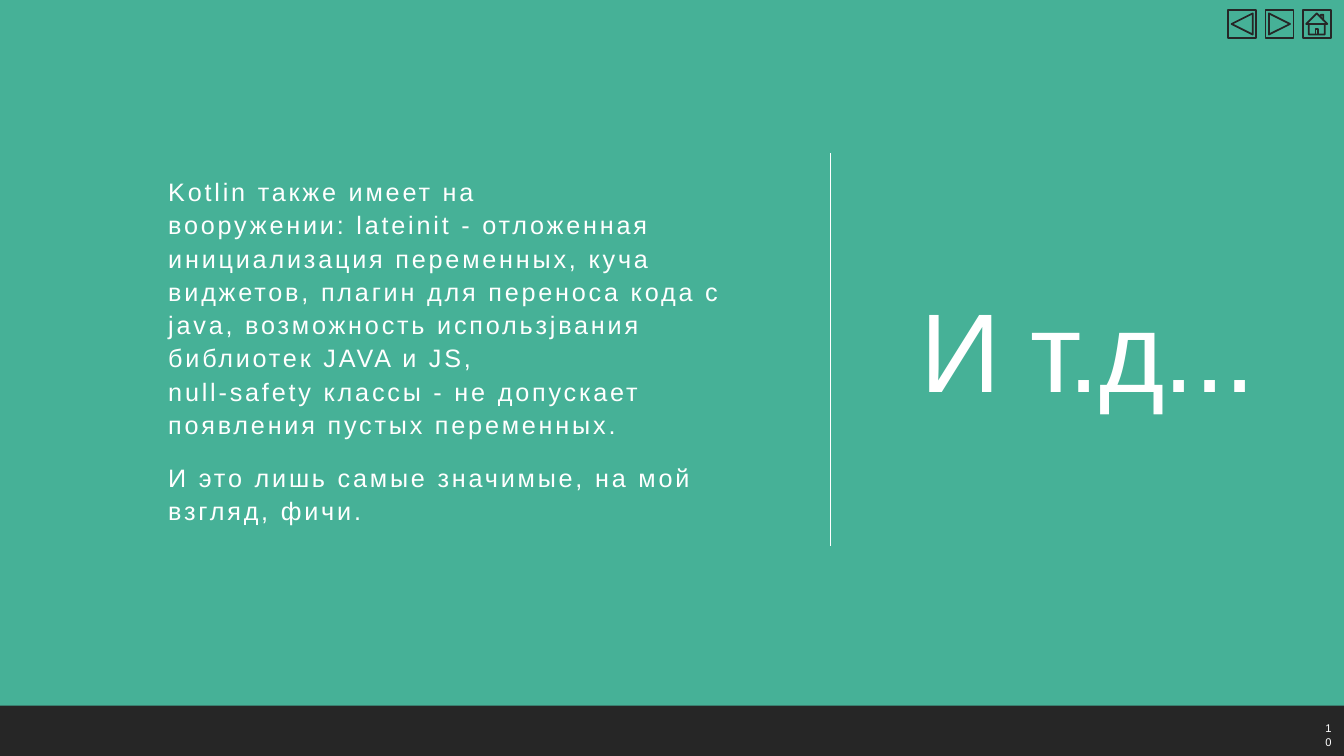
from dataclasses import dataclass
from typing import Optional

from lxml.etree import SubElement
from pptx import Presentation
from pptx.dml.color import RGBColor
from pptx.enum.shapes import MSO_CONNECTOR, MSO_SHAPE
from pptx.enum.text import MSO_ANCHOR, PP_ALIGN
from pptx.oxml.ns import qn
from pptx.shapes.autoshape import Shape
from pptx.slide import Slide
from pptx.util import Cm, Pt


@dataclass(frozen=True)
class Theme:
    back: RGBColor = RGBColor(0x00, 0x00, 0x00)
    green: RGBColor = RGBColor(0x46, 0xB1, 0x97)
    dark: RGBColor = RGBColor(0x26, 0x26, 0x26)
    white: RGBColor = RGBColor(0xFF, 0xFF, 0xFF)
    font: str = "Arial"
    title_size: int = 80
    body_size: int = 18
    number_size: int = 8


@dataclass(frozen=True)
class Box:
    """Position and size in centimetres."""
    left: float
    top: float
    width: float
    height: float

    def lengths(self) -> tuple[Cm, Cm, Cm, Cm]:
        return Cm(self.left), Cm(self.top), Cm(self.width), Cm(self.height)


@dataclass(frozen=True)
class TextBlock:
    """Paragraphs sharing one style; each paragraph is a tuple of lines."""
    box: Box
    paragraphs: tuple[tuple[str, ...], ...]
    size: int
    tracking: float = 0
    align: PP_ALIGN = PP_ALIGN.LEFT
    line_spacing: Optional[float] = None
    before: int = 0
    after: int = 0


THEME = Theme()
WIDTH, HEIGHT, FOOTER = 33.87, 19.05, 1.27
NBSP = chr(160)  # keeps "вооружении:" and "lateinit" on one line

PANELS = (
    (Box(0, 0, WIDTH, HEIGHT), THEME.green),
    (Box(0, HEIGHT - FOOTER, WIDTH, FOOTER), THEME.dark),
)
TEXTS = (
    TextBlock(Box(22.53, 1.96, 9.37, 14.05), (("И т.д...",),), THEME.title_size,
              tracking=-0.5, align=PP_ALIGN.RIGHT, line_spacing=0.9),
    TextBlock(
        Box(3.99, 1.78, 15.54, 14.05),
        (
            (f"Kotlin также имеет на вооружении:{NBSP}lateinit - отложенная инициализация "
             "переменных, куча виджетов, плагин для переноса кода с java, "
             "возможность использjвания библиотек JAVA и JS, ",
             "null-safety классы - не допускает появления пустых переменных."),
            ("И это лишь самые значимые, на мой взгляд, фичи.",),
        ),
        THEME.body_size, tracking=2, line_spacing=1.1, before=12, after=2),
    TextBlock(Box(33.15, 18.01, 0.71, 1.02), (("10",),), THEME.number_size),
)
BUTTONS = (
    MSO_SHAPE.ACTION_BUTTON_BACK_OR_PREVIOUS,
    MSO_SHAPE.ACTION_BUTTON_FORWARD_OR_NEXT,
    MSO_SHAPE.ACTION_BUTTON_HOME,
)
BUTTON_LEFT, BUTTON_TOP, BUTTON_SIZE, BUTTON_PITCH = 30.95, 0.25, 0.71, 0.94


def add_plain_shape(s: Slide, kind: MSO_SHAPE, box: Box) -> Shape:
    sp = s.shapes.add_shape(kind, *box.lengths())
    sp.shadow.inherit = False
    return sp


def add_panel(s: Slide, box: Box, color: RGBColor) -> None:
    sp = add_plain_shape(s, MSO_SHAPE.RECTANGLE, box)
    sp.fill.solid()
    sp.fill.fore_color.rgb = color
    sp.line.fill.background()


def add_button(s: Slide, kind: MSO_SHAPE, box: Box) -> None:
    sp = add_plain_shape(s, kind, box)
    sp.fill.background()
    sp.line.color.rgb = THEME.dark
    sp.line.width = Pt(1.25)


def add_text(s: Slide, block: TextBlock) -> None:
    tf = s.shapes.add_textbox(*block.box.lengths()).text_frame
    tf.word_wrap = True
    tf.vertical_anchor = MSO_ANCHOR.MIDDLE
    for i, lines in enumerate(block.paragraphs):
        p = tf.add_paragraph() if i else tf.paragraphs[0]
        p.alignment = block.align
        p.line_spacing = block.line_spacing
        p.space_before = Pt(block.before)
        p.space_after = Pt(block.after)
        for j, line in enumerate(lines):
            if j:
                p.add_line_break()
            r = p.add_run()
            r.text = line
            r.font.name = THEME.font
            r.font.size = Pt(block.size)
            r.font.color.rgb = THEME.white
            r.font._element.set("spc", str(round(block.tracking * 100)))


def add_divider(s: Slide, x: float, top: float, bottom: float) -> None:
    line = s.shapes.add_connector(MSO_CONNECTOR.STRAIGHT, Cm(x), Cm(top), Cm(x), Cm(bottom))
    line.line.color.rgb = THEME.white
    line.line.width = Pt(1)
    SubElement(line._element.spPr, qn("a:effectLst"))


def main() -> None:
    prs = Presentation()
    prs.slide_width, prs.slide_height = Cm(WIDTH), Cm(HEIGHT)
    s = prs.slides.add_slide(prs.slide_layouts[6])
    s.background.fill.solid()
    s.background.fill.fore_color.rgb = THEME.back

    for box, color in PANELS:
        add_panel(s, box, color)
    for block in TEXTS:
        add_text(s, block)
    add_divider(s, 20.93, 3.86, 13.75)
    for i, kind in enumerate(BUTTONS):
        left = BUTTON_LEFT + i * BUTTON_PITCH
        add_button(s, kind, Box(left, BUTTON_TOP, BUTTON_SIZE, BUTTON_SIZE))
    prs.save("out.pptx")


if __name__ == "__main__":
    main()
